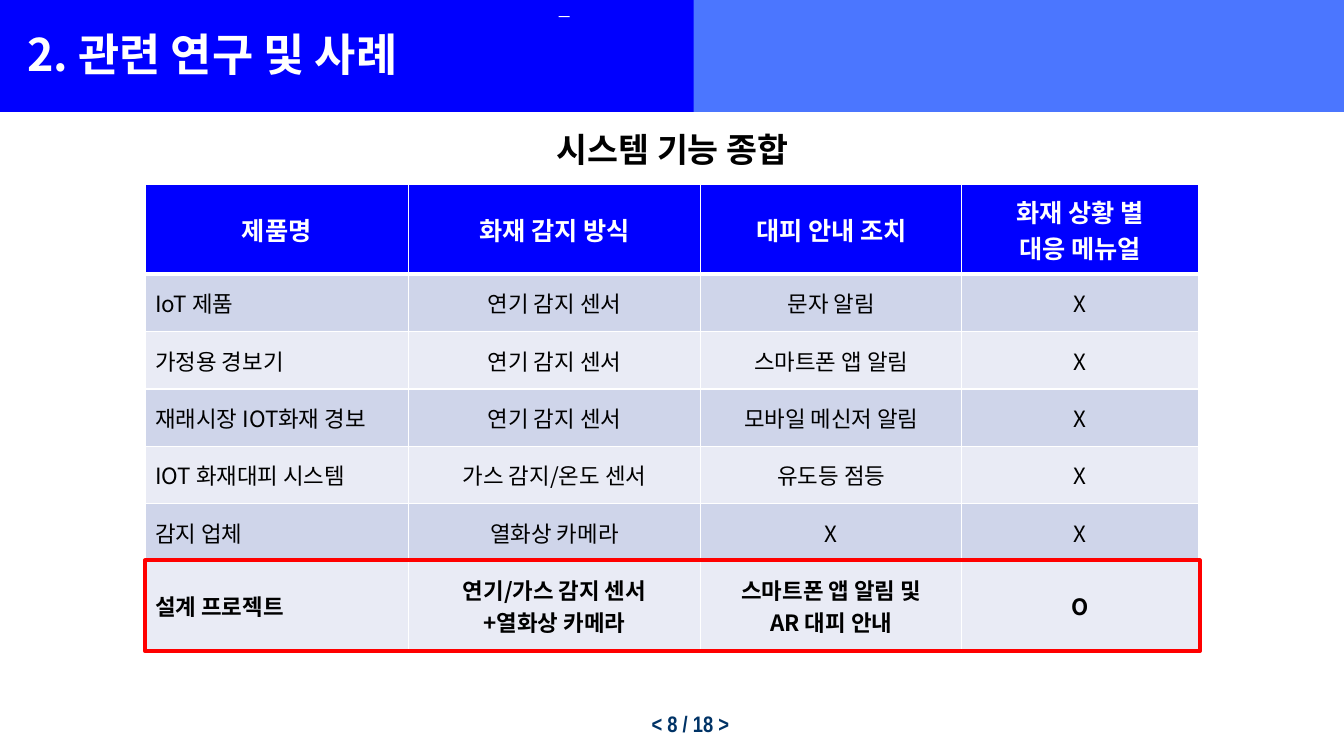
import pptx
import pptx.util
import pptx.dml.color
import pptx.enum.shapes
import pptx.enum.text
import pptx.oxml.ns
import lxml.etree

Inches, Pt = pptx.util.Inches, pptx.util.Pt
ALIGN = pptx.enum.text.PP_ALIGN
SANS, NARROW = "Noto Sans CJK KR", "Arial Narrow"
COLORS = {
    "white": "FFFFFF", "black": "000000", "blue": "0000FF", "sky": "4B76FF",
    "navy": "003366", "red": "FF0000", "odd": "CFD5EA", "even": "E9EBF5",
}
COLS = [2.61, 2.9, 2.59, 2.35]
HIGH, LOW = 0.89, 0.57
ROWS = [
    ["제품명", "화재 감지 방식", "대피 안내 조치", "화재 상황 별\n대응 메뉴얼"],
    ["IoT 제품", "연기 감지 센서", "문자 알림", "X"],
    ["가정용 경보기", "연기 감지 센서", "스마트폰 앱 알림", "X"],
    ["재래시장 IOT화재 경보", "연기 감지 센서", "모바일 메신저 알림", "X"],
    ["IOT 화재대피 시스템", "가스 감지/온도 센서", "유도등 점등", "X"],
    ["감지 업체", "열화상 카메라", "X", "X"],
    ["설계 프로젝트", "연기/가스 감지 센서\n+열화상 카메라",
     "스마트폰 앱 알림 및\nAR 대피 안내", "O"],
]


def rgb(name):
    return pptx.dml.color.RGBColor.from_string(COLORS[name])


def node(parent, tag, **attrs):
    return lxml.etree.SubElement(parent, pptx.oxml.ns.qn(tag), **attrs)


def write(frame, text, size, color, bold=True, align=ALIGN.LEFT, face=SANS):
    """Fill a text frame, one paragraph per line of text."""
    frame.text = text
    for para in frame.paragraphs:
        para.alignment = align
        font = para.font
        font.size, font.bold, font.name = Pt(size), bold, face
        font.color.rgb = rgb(color)
        props = para._p.pPr.find(pptx.oxml.ns.qn("a:defRPr"))
        node(props, "a:ea", typeface=face)


def label(slide, box, text, size, color, **style):
    frame = slide.shapes.add_textbox(*map(Inches, box)).text_frame
    frame.word_wrap = True
    write(frame, text, size, color, **style)
    return frame


def block(slide, box, fill=None, line=None):
    kind = pptx.enum.shapes.MSO_SHAPE.RECTANGLE
    shape = slide.shapes.add_shape(kind, *map(Inches, box))
    shape.shadow.inherit = False
    if fill:
        shape.fill.solid()
        shape.fill.fore_color.rgb = rgb(fill)
    else:
        shape.fill.background()
    if line:
        shape.line.color.rgb = rgb(line)
        shape.line.width = Pt(3)
    else:
        shape.line.fill.background()


def edge(cell, bottom, top):
    """Draw white borders; widths of the level sides in points."""
    props = cell._tc.get_or_add_tcPr()
    for side, width in zip("LRTB", (1, 1, top, bottom)):
        line = node(props, f"a:ln{side}", w=str(Pt(width)))
        node(node(line, "a:solidFill"), "a:srgbClr", val=COLORS["white"])


def grid(slide, left, top):
    last = len(ROWS) - 1
    tall = [HIGH if r in (0, last) else LOW for r in range(len(ROWS))]
    box = map(Inches, (left, top, sum(COLS), sum(tall)))
    table = slide.shapes.add_table(len(ROWS), len(COLS), *box).table
    for col, width in zip(table.columns, COLS):
        col.width = Inches(width)
    for r, row in enumerate(ROWS):
        table.rows[r].height = Inches(tall[r])
        head = r == 0
        for c, text in enumerate(row):
            cell = table.cell(r, c)
            edge(cell, 3 if head else 1, 3 if r == 1 else 1)
            cell.fill.solid()
            cell.fill.fore_color.rgb = rgb(
                "blue" if head else "odd" if r % 2 else "even")
            cell.vertical_anchor = pptx.enum.text.MSO_ANCHOR.MIDDLE
            write(cell.text_frame, text, 18 if head else 16,
                  "white" if head else "black", bold=r in (0, last),
                  align=ALIGN.CENTER if head or c else ALIGN.LEFT)


def main():
    deck = pptx.Presentation()
    deck.slide_width, deck.slide_height = Inches(13.33), Inches(7.5)
    slide = deck.slides.add_slide(deck.slide_layouts[6])

    page = label(slide, (6, 6.97, 1.33, 0.36), "< 8 / 18 >", 16, "navy",
                 align=ALIGN.RIGHT, face=NARROW).paragraphs[0]
    page.line_spacing, page.space_before = 1.1, Pt(3.2)

    block(slide, (0, 0, 13.33, 1.11), fill="sky")
    block(slide, (0, 0, 6.88, 1.11), fill="blue")
    block(slide, (5.54, 0.16, 0.11, 0.01), fill="white")
    label(slide, (0.17, 0.22, 6.49, 0.64), "2. 관련 연구 및 사례", 32, "white")

    grid(slide, 1.44, 1.83)
    label(slide, (0.54, 1.23, 12.26, 0.5), "시스템 기능 종합", 24, "black",
          align=ALIGN.CENTER)
    block(slide, (1.44, 5.56, 10.46, 0.9), line="red")
    deck.save("out.pptx")


if __name__ == "__main__":
    main()
